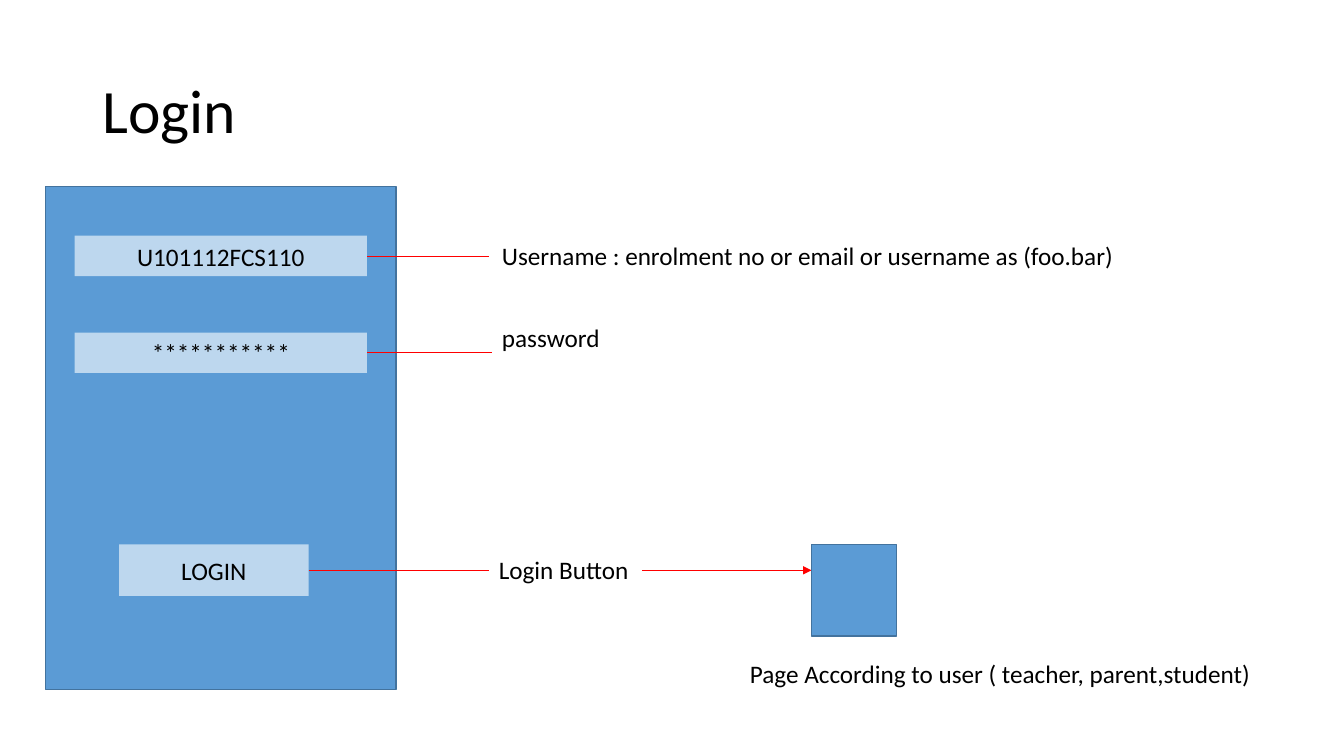
from lxml import etree
from pptx import Presentation
from pptx.dml.color import RGBColor
from pptx.enum.shapes import MSO_CONNECTOR as CONN, MSO_SHAPE as SHAPE
from pptx.enum.text import MSO_ANCHOR as ANCHOR, PP_ALIGN as ALIGN
from pptx.oxml.ns import qn
from pptx.util import Cm, Pt

BLUE = RGBColor(0x5B, 0x9B, 0xD5)
BLUE_EDGE = RGBColor(0x43, 0x73, 0x9E)
PALE_BLUE = RGBColor(0xBD, 0xD7, 0xEE)
RED = RGBColor(0xFF, 0x00, 0x00)
BLACK = RGBColor(0x00, 0x00, 0x00)
FONT = "Calibri"

# Form entries inside the panel: text, box relative to the panel
ENTRIES = [
    ("U101112FCS110", (0.74, 1.24, 7.37, 1.02)),
    ("***********", (0.74, 3.68, 7.37, 1.02)),
    ("LOGIN", (1.86, 9.02, 4.78, 1.3)),
]
# Callout for each entry: text, label box, end of its leader
CALLOUTS = [
    ("Username : enrolment no or email or username as (foo.bar)",
     (12.4, 5.94, 16.4, 1.02), 12.32),
    ("password", (12.4, 8.0, 4.93, 1.02), 12.4),
    ("Login Button", (12.32, 13.84, 7.72, 1.02), 12.32),
]


def write(sp, text, size=18, color=BLACK, align=ALIGN.LEFT, anchor=ANCHOR.TOP,
          spacing=1.0):
    """Put one formatted paragraph into a shape."""
    tf = sp.text_frame
    tf.word_wrap = True
    tf.vertical_anchor = anchor
    p = tf.paragraphs[0]
    p.alignment = align
    p.line_spacing = spacing
    r = p.add_run()
    r.text = text
    r.font.name = FONT
    r.font.size = Pt(size)
    r.font.color.rgb = color


def add_box(s, box, fill=BLUE, edge=None):
    """Draw a flat rectangle, outlined when an edge colour is given."""
    sp = s.shapes.add_shape(SHAPE.RECTANGLE, *map(Cm, box))
    sp.shadow.inherit = False
    sp.fill.solid()
    sp.fill.fore_color.rgb = fill
    if edge is None:
        sp.line.fill.background()
    else:
        sp.line.color.rgb = edge
        sp.line.width = Pt(1)
    return sp


def add_label(s, box, text):
    """Add a plain text label."""
    write(s.shapes.add_textbox(*map(Cm, box)), text)


def add_leader(s, x1, x2, y, arrow=False):
    """Draw a thin red horizontal line, with an optional arrowhead."""
    line = s.shapes.add_connector(CONN.STRAIGHT, Cm(x1), Cm(y), Cm(x2), Cm(y))
    line.line.color.rgb = RED
    line.line.width = Pt(0.5)
    if arrow:
        etree.SubElement(line.line._get_or_add_ln(), qn("a:tailEnd"),
                         type="triangle")
    etree.SubElement(line._element.spPr, qn("a:effectLst"))


def add_title(s, box, text):
    """Move and format the title placeholder."""
    sp = s.shapes.title
    sp.left, sp.top, sp.width, sp.height = map(Cm, box)
    write(sp, text, size=44, anchor=ANCHOR.MIDDLE, spacing=0.9)


def add_login_form(s, box):
    """Draw the login panel, its entries and their callouts."""
    left, top = box[:2]
    add_box(s, box, edge=BLUE_EDGE)
    for (text, (x, y, w, h)), (label, label_box, end) in zip(ENTRIES, CALLOUTS):
        sp = add_box(s, (left + x, top + y, w, h), fill=PALE_BLUE)
        write(sp, text, align=ALIGN.CENTER, anchor=ANCHOR.MIDDLE)
        add_leader(s, left + x + w, end, top + y + h / 2)
        add_label(s, label_box, label)


def add_user_page(s, box):
    """Draw the page reached after login, its arrow and caption."""
    left, top, _, height = box
    add_leader(s, left - 4.27, left, top + 0.65, arrow=True)
    add_box(s, box, edge=BLUE_EDGE)
    add_label(s, (left - 1.8, top + height + 0.43, 13.4, 1.02),
              "Page According to user ( teacher, parent,student)")


prs = Presentation()
prs.slide_width, prs.slide_height = Cm(33.87), Cm(19.05)
s = prs.slides.add_slide(prs.slide_layouts[5])
add_title(s, (2.33, 1.01, 29.21, 3.68), "Login")
add_login_form(s, (1.14, 4.7, 8.84, 12.67))
add_user_page(s, (20.45, 13.72, 2.14, 2.31))
prs.save("out.pptx")
